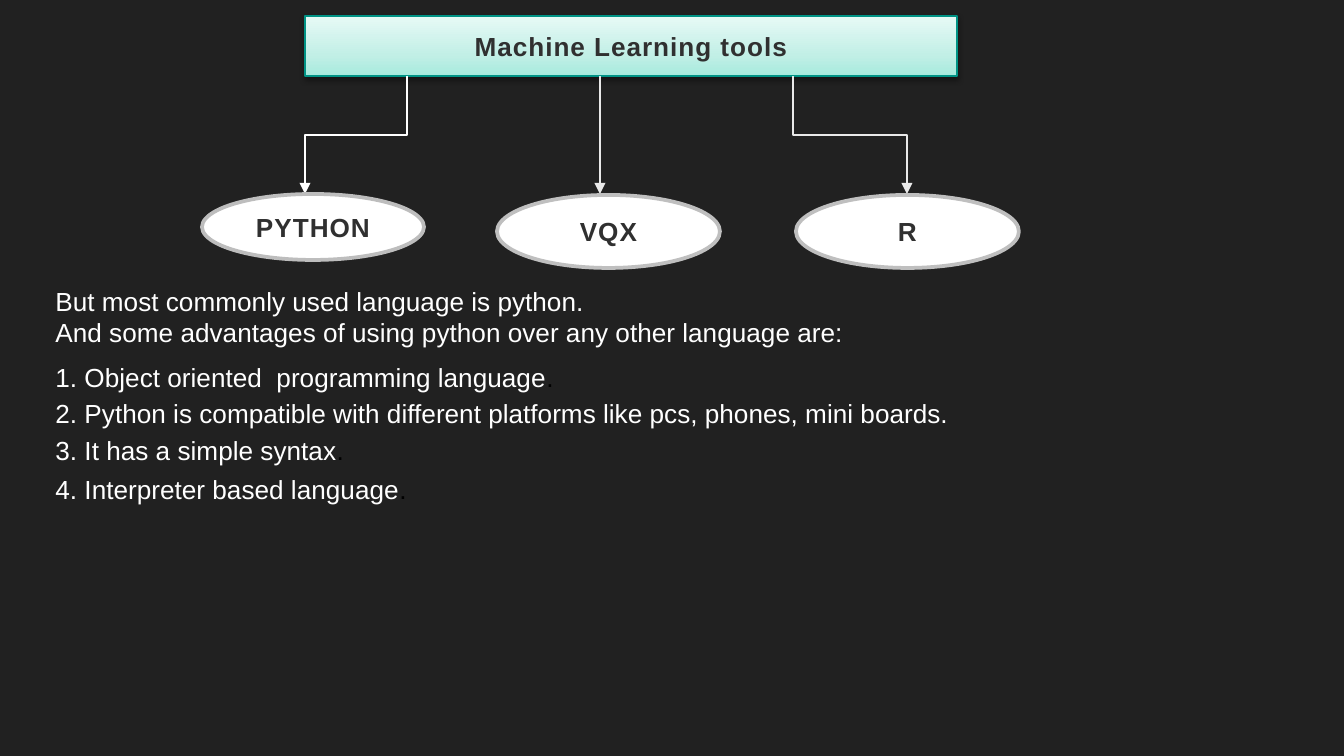
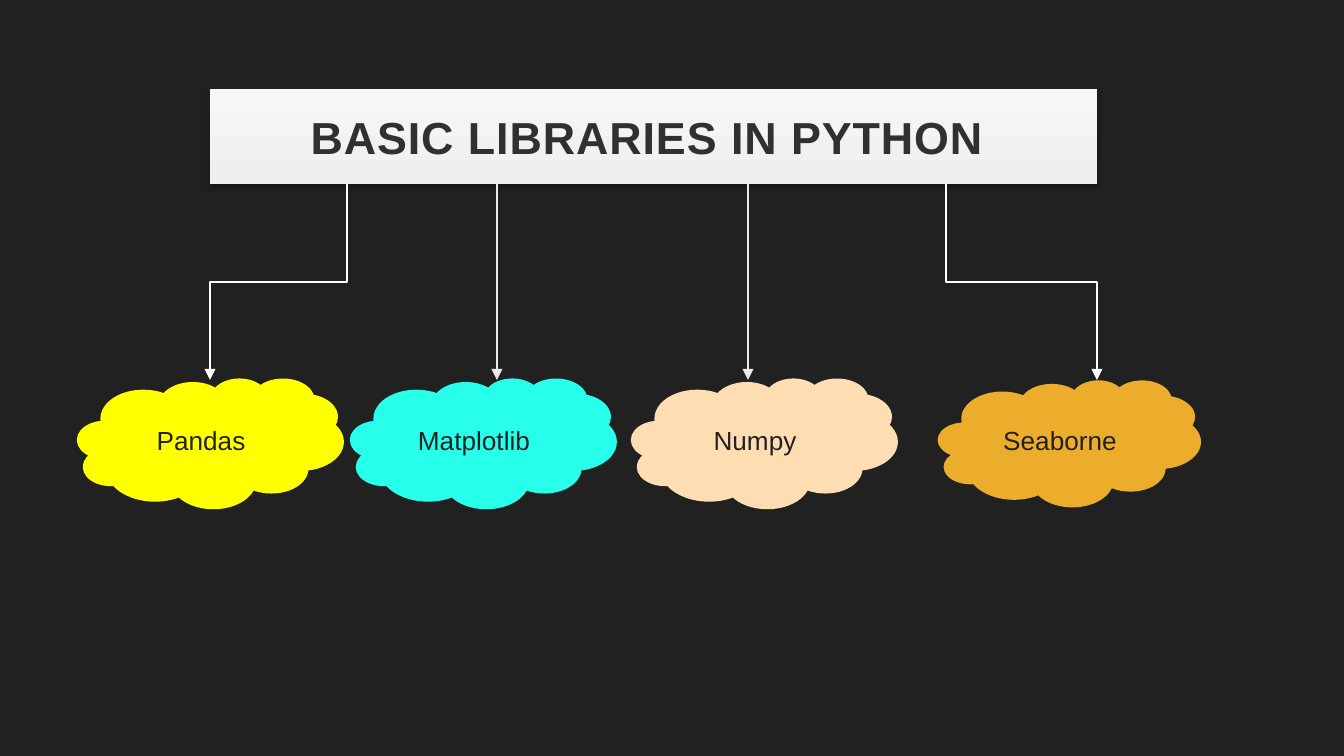
from dataclasses import dataclass

from lxml.etree import SubElement
from pptx import Presentation
from pptx.dml.color import RGBColor
from pptx.enum.shapes import MSO_CONNECTOR as LINK, MSO_SHAPE as SHAPE
from pptx.enum.text import MSO_ANCHOR, MSO_AUTO_SIZE, PP_ALIGN
from pptx.oxml.ns import qn
from pptx.util import Emu, Pt

SCALE = 9144000 / 1344  # EMU in one px
FONT = "Arial"
COLORS = {
    "back": "212121", "ink": "303030", "white": "FFFFFF", "black": "000000",
    "teal": "009385", "mint": "A6EADD", "pale_mint": "C2EFE6", "ice": "E7FAF6",
    "silver": "EEEEEE", "snow": "F7F7F7", "arrow": "E9E9E9",
    "rim": "BFBFBF", "dark_rim": "BDBDBD",
    "yellow": "FFFF00", "aqua": "27FFEB", "peach": "FFDDB3", "amber": "ECAC2C",
}


@dataclass
class Banner:
    text: str
    box: tuple[int, int, int, int]
    size: int
    stops: tuple[tuple[int, str], ...]
    line: str | None
    shadow: int  # opacity in percent


@dataclass
class Node:
    text: str
    box: tuple[int, int, int, int]
    fill: str
    line: str | None


@dataclass
class Arrow:
    start: int
    end: int
    color: str


@dataclass
class ListLine:
    text: str
    before: float  # points above the line
    dot: bool = False


def px(n: float) -> Emu:
    return Emu(round(n * SCALE))


def rgb(name: str) -> RGBColor:
    return RGBColor.from_string(COLORS[name])


def add_color(parent, name: str):
    return SubElement(parent, qn("a:srgbClr"), val=COLORS[name])


def style_run(r, size: int, color: str, bold: bool = False) -> None:
    r.font.name, r.font.size, r.font.bold = FONT, Pt(size), bold
    r.font.color.rgb = rgb(color)
    if bold:
        r.font._element.set("spc", "50")


def set_label(s, text: str, size: int, color: str, bold: bool) -> None:
    tf = s.text_frame
    tf.text = text
    tf.word_wrap = True
    tf.auto_size = MSO_AUTO_SIZE.NONE
    tf.vertical_anchor = MSO_ANCHOR.MIDDLE
    p = tf.paragraphs[0]
    p.alignment = PP_ALIGN.CENTER
    style_run(p.runs[0], size, color, bold)


def set_line(s, color: str | None, width: float) -> None:
    if color:
        s.line.color.rgb = rgb(color)
        s.line.width = Pt(width)
    else:
        s.line.fill.background()


def place(s, box: tuple[int, int, int, int]) -> None:
    s.left, s.top, s.width, s.height = map(px, box)


def draw_banner(slide, banner: Banner) -> None:
    s = slide.shapes.title
    place(s, banner.box)
    set_label(s, banner.text, banner.size, "ink", True)
    set_line(s, banner.line, 0.75)
    # Gradient running upwards
    spPr = s._element.spPr
    grad = SubElement(spPr, qn("a:gradFill"), rotWithShape="1")
    stops = SubElement(grad, qn("a:gsLst"))
    for pos, color in banner.stops:
        add_color(SubElement(stops, qn("a:gs"), pos=str(pos * 1000)), color)
    SubElement(grad, qn("a:lin"), ang="16200000", scaled="0")
    spPr.find(qn("a:ln")).addprevious(grad)
    # Soft shadow below
    effects = SubElement(spPr, qn("a:effectLst"))
    shadow = SubElement(effects, qn("a:outerShdw"), blurRad=str(Pt(3.1)),
                        dist=str(Pt(1.7)), dir="5400000", rotWithShape="0")
    SubElement(add_color(shadow, "black"), qn("a:alpha"), val=str(banner.shadow * 1000))


def draw_arrow(slide, arrow: Arrow, top: int, bottom: int) -> None:
    drop, run = bottom - top, arrow.end - arrow.start
    if run:
        # An elbow lies sideways, then turns about its centre
        mid_x, mid_y = (arrow.start + arrow.end) / 2, (top + bottom) / 2
        half_w, half_h = drop / 2, abs(run) / 2
        s = slide.shapes.add_connector(LINK.ELBOW, px(mid_x - half_w), px(mid_y - half_h),
                                       px(mid_x + half_w), px(mid_y + half_h))
        xfrm = s._element.spPr.find(qn("a:xfrm"))
        xfrm.set("rot", "5400000" if run < 0 else "16200000")
        if run > 0:
            xfrm.set("flipH", "1")
    else:
        s = slide.shapes.add_connector(LINK.STRAIGHT, px(arrow.start), px(top),
                                       px(arrow.end), px(bottom))
    set_line(s, arrow.color, 0.75)
    SubElement(s.line._get_or_add_ln(), qn("a:tailEnd"), type="triangle")
    SubElement(s._element.spPr, qn("a:effectLst"))


def draw_node(slide, node: Node, kind: SHAPE, color: str, bold: bool) -> None:
    s = slide.shapes.add_shape(kind, *map(px, node.box))
    s.shadow.inherit = False
    s.fill.solid()
    s.fill.fore_color.rgb = rgb(node.fill)
    set_line(s, node.line, 2)
    set_label(s, node.text, 14, color, bold)


def draw_list(slide, lines: list[ListLine], box: tuple[int, int, int, int]) -> None:
    s = slide.placeholders[1]
    place(s, box)
    tf = s.text_frame
    tf.auto_size = MSO_AUTO_SIZE.NONE
    for i, line in enumerate(lines):
        p = tf.add_paragraph() if i else tf.paragraphs[0]
        p.text = line.text
        p.line_spacing, p.space_before = Pt(17), Pt(line.before)
        pPr = p._p.get_or_add_pPr()
        pPr.set("marL", "0")
        pPr.set("indent", "0")
        SubElement(pPr, qn("a:buNone"))
        style_run(p.runs[0], 14, "white")
        if line.dot:
            r = p.add_run()
            r.text = "."
            style_run(r, 14, "black")


# Slide contents
TOOLS_BANNER = Banner("Machine Learning tools", (305, 16, 652, 60), 14,
                      ((0, "mint"), (35, "pale_mint"), (100, "ice")), "teal", 38)
TOOLS_ARROWS = [Arrow(407, 305, "white"), Arrow(600, 600, "arrow"), Arrow(793, 907, "arrow")]
TOOLS = [
    Node("PYTHON", (202, 194, 222, 66), "white", "dark_rim"),
    Node("VQX", (497, 195, 223, 73), "white", "rim"),
    Node("R", (796, 195, 223, 73), "white", "rim"),
]
ADVANTAGES = [
    ListLine("But most commonly used language is python.", 0),
    ListLine("And some advantages of using python over any other language are:", 0),
    ListLine("1. Object oriented  programming language", 7, True),
    ListLine("2. Python is compatible with different platforms like pcs, phones, mini boards.", 2),
    ListLine("3. It has a simple syntax", 3, True),
    ListLine("4. Interpreter based language", 4, True),
]
LIBRARY_BANNER = Banner("BASIC LIBRARIES IN PYTHON ", (210, 89, 887, 95), 24,
                        ((0, "silver"), (100, "snow")), None, 35)
LIBRARY_ARROWS = [Arrow(347, 210, "white"), Arrow(946, 1097, "white"),
                  Arrow(497, 497, "arrow"), Arrow(748, 748, "arrow")]
LIBRARIES = [
    Node(text, (left, 380, 263, 127), fill, line)
    for text, left, fill, line in [
        ("Pandas", 79, "yellow", "yellow"),
        ("Matplotlib", 352, "aqua", "aqua"),
        ("Numpy", 633, "peach", "peach"),
        ("Seaborne", 938, "amber", None),
    ]
]


def main() -> None:
    prs = Presentation()
    prs.slide_width, prs.slide_height = px(1344), px(756)
    fill = prs.slide_master.background.fill
    fill.solid()
    fill.fore_color.rgb = rgb("back")

    # Machine learning tools
    slide = prs.slides.add_slide(prs.slide_layouts[1])
    draw_banner(slide, TOOLS_BANNER)
    for arrow in TOOLS_ARROWS:
        draw_arrow(slide, arrow, 76, 194)
    for node in TOOLS:
        draw_node(slide, node, SHAPE.OVAL, "ink", True)
    draw_list(slide, ADVANTAGES, (42, 278, 1030, 236))

    # Python libraries
    slide = prs.slides.add_slide(prs.slide_layouts[5])
    draw_banner(slide, LIBRARY_BANNER)
    for arrow in LIBRARY_ARROWS:
        draw_arrow(slide, arrow, 184, 380)
    for node in LIBRARIES:
        draw_node(slide, node, SHAPE.CLOUD, "back", False)

    prs.save("out.pptx")


if __name__ == "__main__":
    main()
